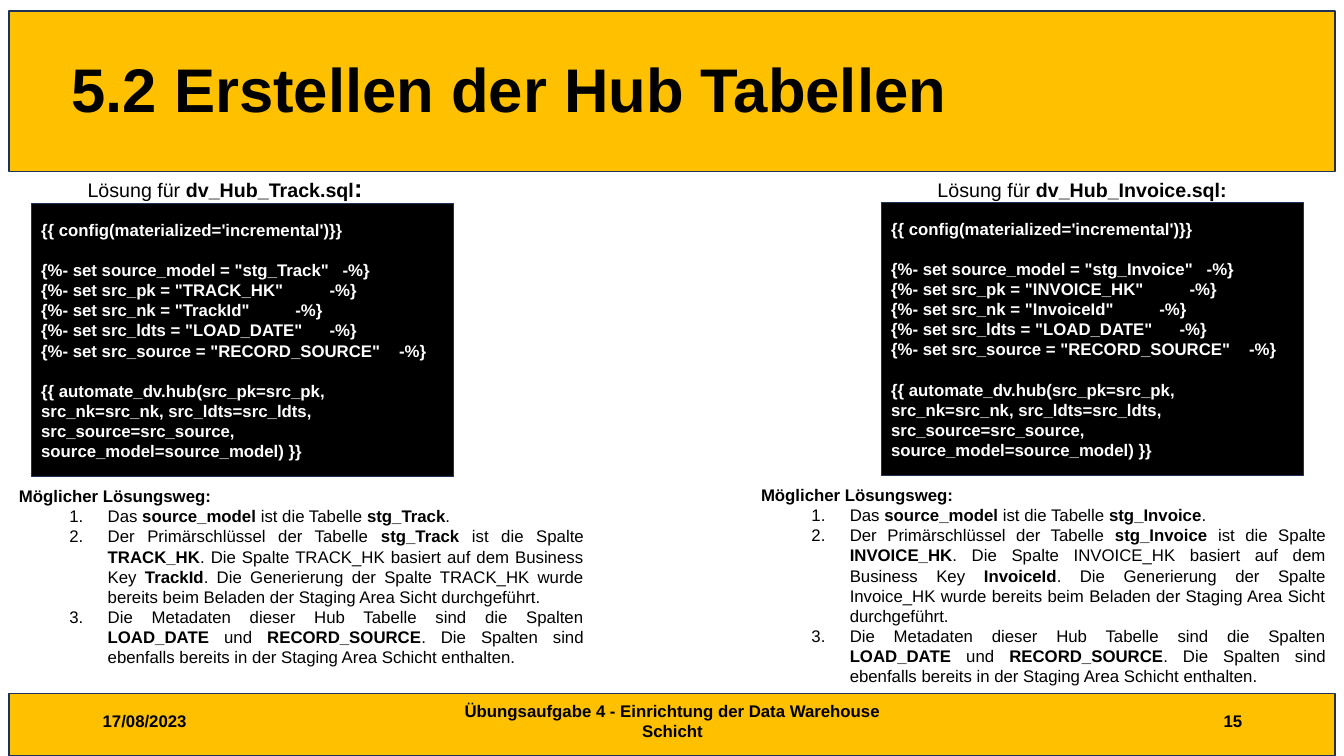
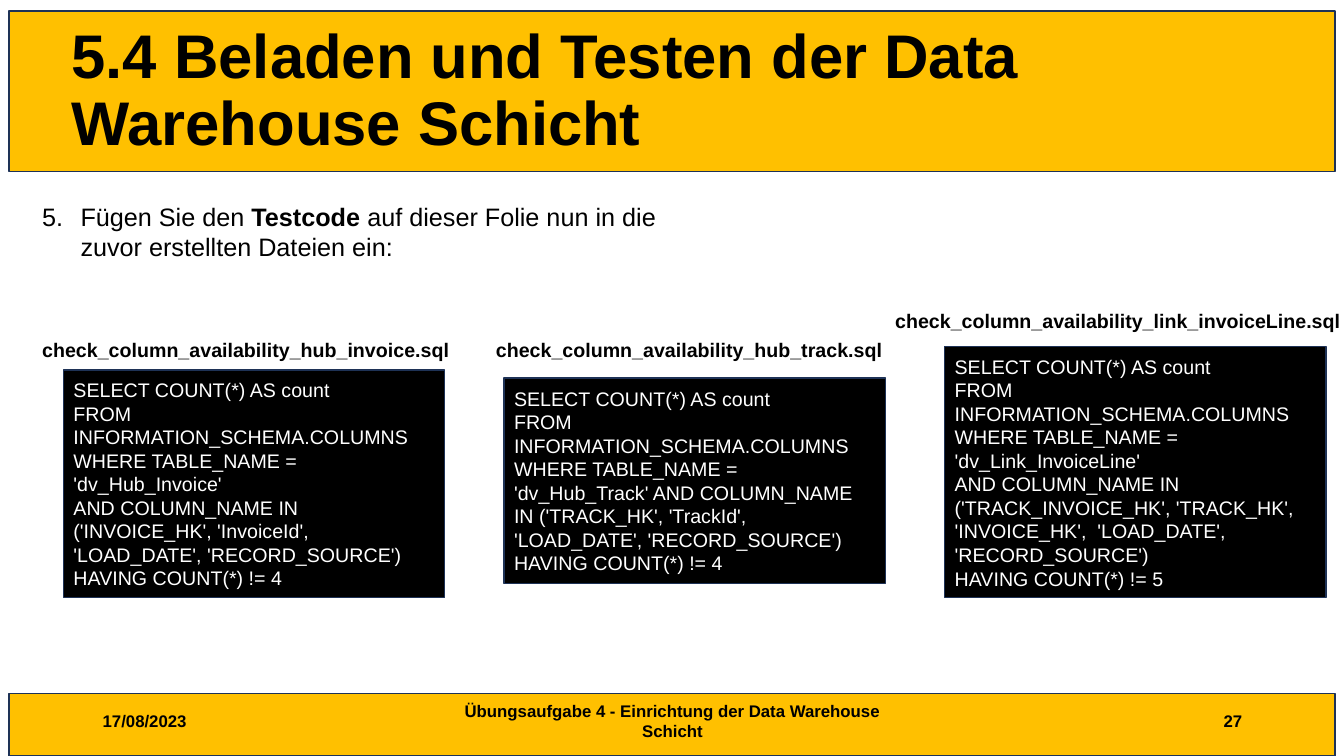
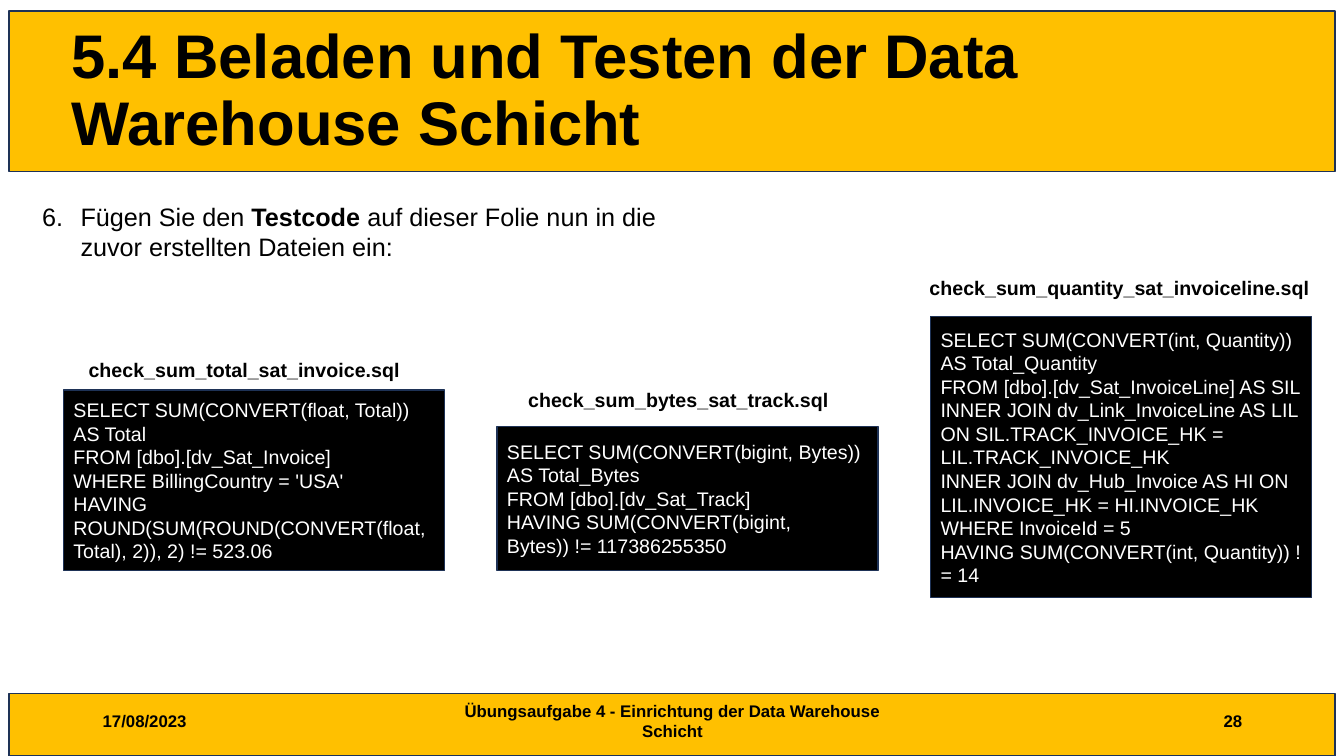
from lxml import etree
from pptx import Presentation
from pptx.dml.color import RGBColor
from pptx.enum.shapes import MSO_SHAPE
from pptx.enum.text import MSO_ANCHOR, MSO_AUTO_SIZE, PP_ALIGN
from pptx.oxml.ns import qn
from pptx.util import Inches, Pt

RECT = MSO_SHAPE.RECTANGLE
TOP, MID = MSO_ANCHOR.TOP, MSO_ANCHOR.MIDDLE
LEFT, MIDST, RIGHT, JUST = (
    PP_ALIGN.LEFT, PP_ALIGN.CENTER, PP_ALIGN.RIGHT, PP_ALIGN.JUSTIFY)
FIXED = MSO_AUTO_SIZE.NONE

FONT = "Arial"
GOLD, NAVY, BLACK, WHITE = "FFC000", "1E3256", "000000", "FFFFFF"
HEAD = (0.09, 0.11, 13.15, 1.59)
FOOT = (0.09, 6.88, 13.15, 0.62)
TITLE = (0.61, 0.19, 12.54, 1.45)
DATE = "17/08/2023"
TOPIC = "Übungsaufgabe 4 - Einrichtung der Data Warehouse Schicht"
TASK = "Fügen Sie den **Testcode** auf dieser Folie nun in die zuvor erstellten Dateien ein:"


# Basic tools
def paint(color, code):
    color.rgb = RGBColor.from_string(code)


def apply(item, values):
    for name, value in values.items():
        setattr(item, name, value)


def add_run(par, text, size, color=BLACK, bold=False):
    font = par.add_run()
    font.text = text
    font = font.font
    apply(font, {"name": FONT, "size": Pt(size), "bold": bold})
    paint(font.color, color)


def write(frame, lines, size, color=BLACK, bold=False, align=LEFT, anchor=TOP):
    """Fill a frame; text between ** marks is bold."""
    apply(frame, {"word_wrap": True, "auto_size": FIXED, "vertical_anchor": anchor})
    for i, line in enumerate(lines):
        par = frame.add_paragraph() if i else frame.paragraphs[0]
        par.alignment = align
        for j, part in enumerate(line.split("**")):
            if part:
                add_run(par, part, size, color, bold or j % 2 == 1)
    return frame.paragraphs


def add_text(slide, box, lines, size, **look):
    shape = slide.shapes.add_textbox(*map(Inches, box))
    return write(shape.text_frame, lines, size, **look)


def add_box(slide, box, fill):
    shape = slide.shapes.add_shape(RECT, *map(Inches, box))
    shape.shadow.inherit = False
    shape.fill.solid()
    paint(shape.fill.fore_color, fill)
    paint(shape.line.color, NAVY)
    shape.line.width = Pt(1)
    return shape


def add_code(slide, box, lines, size, bold=False):
    frame = add_box(slide, box, BLACK).text_frame
    return write(frame, lines, size, color=WHITE, bold=bold, anchor=MID)


def number(par, margin, start=1):
    props = par._p.get_or_add_pPr()
    props.set("marL", str(Inches(margin)))
    props.set("indent", str(Inches(-0.38)))
    etree.SubElement(props, qn("a:buFont"), typeface="+mj-lt")
    etree.SubElement(props, qn("a:buAutoNum"), type="arabicPeriod", startAt=str(start))


def tab_stop(par, pos):
    tabs = etree.SubElement(par._p.get_or_add_pPr(), qn("a:tabLst"))
    etree.SubElement(tabs, qn("a:tab"), pos=str(Inches(pos)), algn="l")


# Shared frame: title, bands and footer
def add_page(deck, text, page):
    slide = deck.slides.add_slide(deck.slide_layouts[5])
    title = slide.shapes.title
    sides = ("left", "top", "width", "height")
    apply(title, dict(zip(sides, map(Inches, TITLE))))
    write(title.text_frame, [text], 44, bold=True, anchor=MID)[0].line_spacing = 0.9
    for band in (HEAD, FOOT):
        title._element.addprevious(add_box(slide, band, GOLD)._element)
    for left, width, note, align in (
        (0.92, 3, DATE, LEFT), (4.42, 4.5, TOPIC, MIDST), (9.42, 3, str(page), RIGHT),
    ):
        add_text(slide, (left, 6.95, width, 0.4), [note], 12,
                 bold=True, align=align, anchor=MID)
    return slide


# Hub solution: label, code and numbered steps
def add_hub(slide, x, y, shift, table, key, again, stops, colon, rise):
    upper = table.upper() + "_HK"
    label = add_text(slide, (x + shift + 0.46, y - rise, 3.8, 0.4),
                     ["Lösung für **dv_Hub_" + table + ".sql**"], 14)
    add_run(label[0], ":", colon, bold=True)

    fields = (("source_model", "stg_" + table), ("src_pk", upper), ("src_nk", key),
              ("src_ldts", "LOAD_DATE"), ("src_source", "RECORD_SOURCE"))
    code = ["{{ config(materialized='incremental')}}"]
    code += ['{%- set ' + name + ' = "' + value + '"\t-%}' for name, value in fields]
    code += ["{{ automate_dv.hub(src_pk=src_pk, src_nk=src_nk, src_ldts=src_ldts,",
             "src_source=src_source, source_model=source_model) }}"]
    pars = add_code(slide, (x + shift, y, 4.19, 2.71), code, 12, bold=True)
    for par, stop in zip(pars[1:6], stops):
        tab_stop(par, stop)
    for i in (1, 6):
        pars[i].space_before = Pt(14.4)

    steps = [
        "**Möglicher Lösungsweg:**",
        f"Das **source_model **ist die Tabelle **stg_{table}**.",
        f"Der Primärschlüssel der Tabelle **stg_{table} **ist die Spalte **{upper}**. "
        f"Die Spalte {upper} basiert auf dem Business Key **{key}**. Die Generierung der "
        f"Spalte {again} wurde bereits beim Beladen der Staging Area Sicht durchgeführt.",
        "Die Metadaten dieser Hub Tabelle sind die Spalten **LOAD_DATE **und "
        "**RECORD_SOURCE**. Die Spalten sind ebenfalls bereits in der Staging Area "
        "Schicht enthalten.",
    ]
    pars = add_text(slide, (x, y + 2.75, 5.8, 2.1), steps, 12, align=JUST)
    for par in pars[1:]:
        par.level = 1
        number(par, 0.88)


# Test slide: task and three queries with file names
def add_tests(deck, page, start, tests):
    slide = add_page(deck, "5.4 Beladen und Testen der Data Warehouse Schicht", page)
    number(add_text(slide, (0.32, 1.95, 6.79, 0.71), [TASK], 18)[0], 0.38, start)
    for (left, top, height), (dx, dy, width), name, code in tests:
        add_code(slide, (left, top, 3.78, height), code, 14)
        add_text(slide, (left + dx, top + dy, width, 0.34),
                 [name + ".sql"], 14, bold=True)


def count_code(where, total):
    return ["SELECT COUNT(*) AS count", "FROM INFORMATION_SCHEMA.COLUMNS",
            *where, f"HAVING COUNT(*) != {total}"]


COUNTS = (
    ((0.63, 3.67, 2.26), (-0.31, -0.37, 4.3), "check_column_availability_hub_invoice",
     count_code(["WHERE TABLE_NAME = 'dv_Hub_Invoice'",
                 "AND COLUMN_NAME IN ('INVOICE_HK', 'InvoiceId', "
                 "'LOAD_DATE', 'RECORD_SOURCE')"], 4)),
    ((5, 3.75, 2.04), (-0.18, -0.45, 4.1), "check_column_availability_hub_track",
     count_code(["WHERE TABLE_NAME = 'dv_Hub_Track' AND COLUMN_NAME IN "
                 "('TRACK_HK', 'TrackId', 'LOAD_DATE', 'RECORD_SOURCE')"], 4)),
    ((9.37, 3.44, 2.49), (-0.59, -0.42, 4.66), "check_column_availability_link_invoiceLine",
     count_code(["WHERE TABLE_NAME = 'dv_Link_InvoiceLine'",
                 "AND COLUMN_NAME IN ('TRACK_INVOICE_HK', 'TRACK_HK', "
                 "'INVOICE_HK',  'LOAD_DATE', 'RECORD_SOURCE')"], 5)),
)
SUMS = (
    ((0.63, 3.87, 1.79), (0.15, -0.37, 3.48), "check_sum_total_sat_invoice",
     ["SELECT SUM(CONVERT(float, Total)) AS Total",
      "FROM [dbo].[dv_Sat_Invoice]",
      "WHERE BillingCountry = 'USA'",
      "HAVING ROUND(SUM(ROUND(CONVERT(float, Total), 2)), 2) != 523.06"]),
    ((4.93, 4.23, 1.43), (0.21, -0.43, 3.48), "check_sum_bytes_sat_track",
     ["SELECT SUM(CONVERT(bigint, Bytes)) AS Total_Bytes",
      "FROM [dbo].[dv_Sat_Track]",
      "HAVING SUM(CONVERT(bigint, Bytes)) != 117386255350"]),
    ((9.23, 3.14, 2.79), (-0.11, -0.45, 4.01), "check_sum_quantity_sat_invoiceline",
     ["SELECT SUM(CONVERT(int, Quantity)) AS Total_Quantity",
      "FROM [dbo].[dv_Sat_InvoiceLine] AS SIL",
      "INNER JOIN dv_Link_InvoiceLine AS LIL ON SIL.TRACK_INVOICE_HK = "
      "LIL.TRACK_INVOICE_HK",
      "INNER JOIN dv_Hub_Invoice AS HI ON LIL.INVOICE_HK = HI.INVOICE_HK",
      "WHERE InvoiceId = 5",
      "HAVING SUM(CONVERT(int, Quantity)) != 14"]),
)


def main():
    deck = Presentation()
    deck.slide_width, deck.slide_height = Inches(13.33), Inches(7.5)
    hubs = add_page(deck, "5.2 Erstellen der Hub Tabellen", 15)
    add_hub(hubs, 0.09, 2.02, 0.22, "Track", "TrackId", "TRACK_HK",
            (2.99, 2.86, 2.52, 2.86, 3.55), 18, 0.36)
    add_hub(hubs, 7.45, 2.01, 1.29, "Invoice", "InvoiceId", "Invoice_HK",
            (3.13, 2.96, 2.66, 2.86, 3.55), 14, 0.29)
    add_tests(deck, 27, 5, COUNTS)
    add_tests(deck, 28, 6, SUMS)
    deck.save("out.pptx")


if __name__ == "__main__":
    main()
